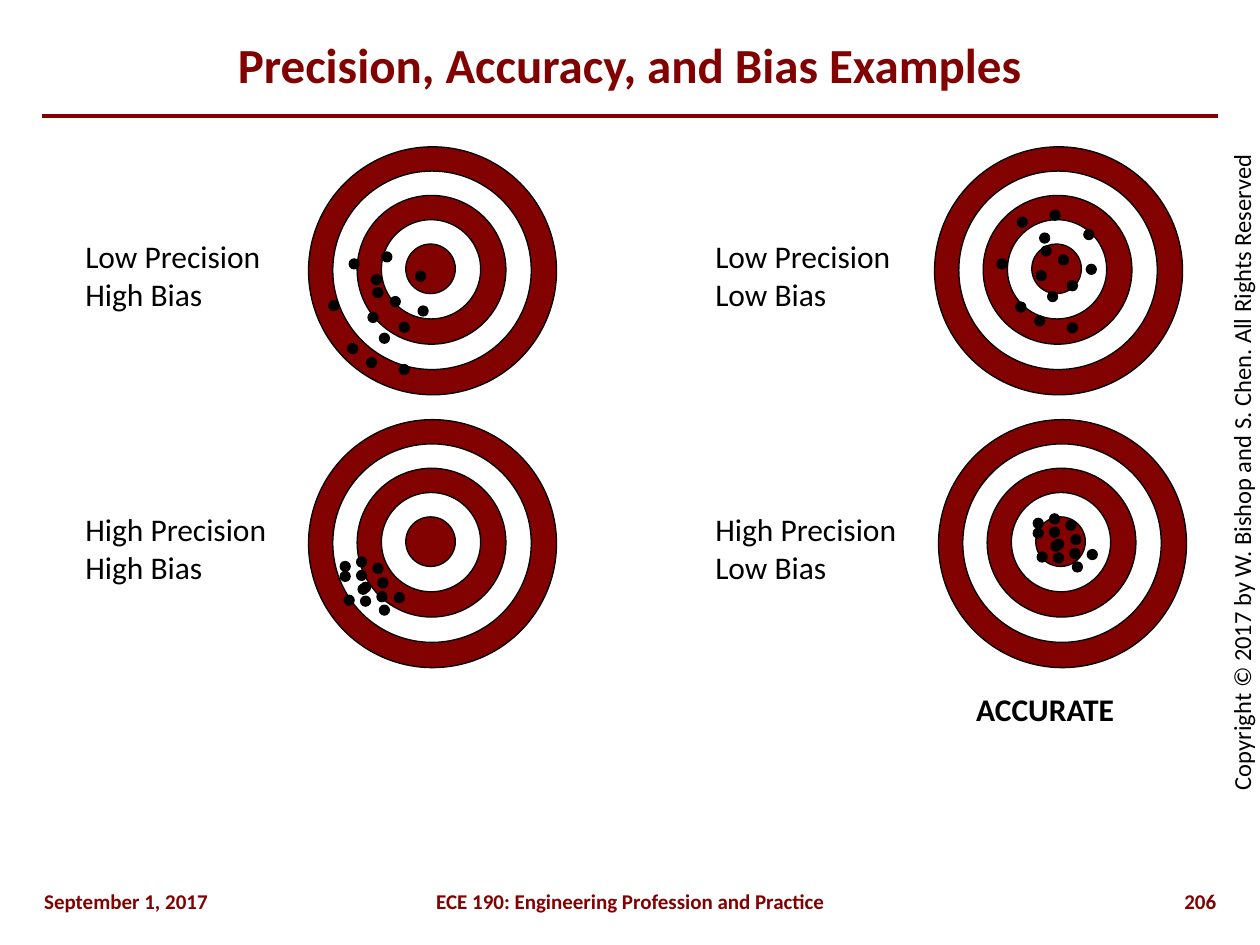
"""Build the slide comparing precision, accuracy and bias on four shooting targets."""
from dataclasses import dataclass

from lxml import etree
from pptx import Presentation
from pptx.dml.color import RGBColor
from pptx.enum.shapes import MSO_CONNECTOR, MSO_SHAPE
from pptx.enum.text import MSO_ANCHOR, MSO_AUTO_SIZE, PP_ALIGN
from pptx.oxml.ns import qn
from pptx.slide import Slide
from pptx.util import Cm, Pt

LINE, OVAL = MSO_CONNECTOR.STRAIGHT, MSO_SHAPE.OVAL
LEFT, CENTER, RIGHT = PP_ALIGN.LEFT, PP_ALIGN.CENTER, PP_ALIGN.RIGHT
TOP, MIDDLE = MSO_ANCHOR.TOP, MSO_ANCHOR.MIDDLE
NO_FIT = MSO_AUTO_SIZE.NONE

MAROON = RGBColor(0x82, 0x01, 0x01)
BLACK = RGBColor(0x00, 0x00, 0x00)
WHITE = RGBColor(0xFF, 0xFF, 0xFF)
FONT = "Calibri"

RING_COLORS = (MAROON, WHITE, MAROON, WHITE, MAROON)
TARGET_SIZE = 5
RING_STEP = 0.49
HIT_SIZE = 0.2

SCATTERED = (
    (1.07, 0), (0.89, 0.72), (1.75, 0.39), (1.24, 0.9), (0.86, 0.46),
    (0, 0.98), (0.41, 0.14), (0.76, 2.13), (1.02, 1.64), (1.42, 1.42),
    (1.42, 2.27), (0.79, 1.22), (0.38, 1.85), (1.8, 1.09),
)
CLUSTERED = (
    (0.33, 0), (0.33, 0.27), (0.66, 0.13), (0.36, 0.55), (0, 0.29),
    (0, 0.09), (0.76, 0.42), (0.74, 0.7), (1.09, 0.72), (0.79, 0.97),
    (0.41, 0.51), (0.08, 0.77), (0.41, 0.79),
)


@dataclass(frozen=True)
class Caption:
    """Text with its place in centimetres and its style."""

    lines: tuple[str, ...]
    left: float
    top: float
    width: float
    height: float
    size: int = 18
    color: RGBColor = BLACK
    bold: bool = False
    align: PP_ALIGN = LEFT
    anchor: MSO_ANCHOR = TOP
    wrap: bool = True
    rotation: int = 0


@dataclass(frozen=True)
class Target:
    """A target with its label and the corner of its group of hits."""

    lines: tuple[str, str]
    label_left: float
    label_top: float
    left: float
    top: float
    hits: tuple[tuple[float, float], ...]
    hits_left: float
    hits_top: float


TARGETS = (
    Target(("High Precision", "High Bias"), 1.47, 10.16, 6.22, 8.46, CLUSTERED, 6.86, 11.23),
    Target(("Low Precision", "High Bias"), 1.47, 4.65, 6.22, 2.96, SCATTERED, 6.63, 5.08),
    Target(("High Precision", "Low Bias"), 14.17, 10.16, 18.92, 8.46, CLUSTERED, 20.83, 10.36),
    Target(("Low Precision", "Low Bias"), 14.17, 4.65, 18.84, 2.96, SCATTERED, 20.1, 4.24),
)

CAPTIONS = (
    Caption(("Copyright © 2017 by W. Bishop and S. Chen. All Rights Reserved",),
            15.93, 9.09, 18.21, 0.86, size=14, align=CENTER, rotation=270),
    Caption(("Precision, Accuracy, and Bias Examples",), 0.84, 0.43, 23.7, 1.7,
            size=28, color=MAROON, bold=True, align=CENTER, anchor=MIDDLE),
    Caption(("ACCURATE",), 19.43, 13.79, 3.3, 1.02, bold=True, wrap=False),
    Caption(("September 1, 2017",), 0.64, 17.78, 4.45, 0.64, size=12, color=MAROON, bold=True),
    Caption(("ECE 190: Engineering Profession and Practice",), 4.24, 17.78, 16.94, 0.64,
            size=12, color=MAROON, bold=True, align=CENTER),
    Caption(("206",), 21.59, 17.78, 3.18, 0.64, size=12, color=MAROON, bold=True, align=RIGHT),
)


def add_caption(page: Slide, caption: Caption) -> None:
    """Add a text box with one paragraph per line."""
    box = page.shapes.add_textbox(
        Cm(caption.left), Cm(caption.top), Cm(caption.width), Cm(caption.height))
    box.rotation = caption.rotation
    frame = box.text_frame
    frame.word_wrap = caption.wrap
    frame.auto_size = NO_FIT
    frame.vertical_anchor = caption.anchor
    for index, line in enumerate(caption.lines):
        para = frame.add_paragraph() if index else frame.paragraphs[0]
        para.alignment = caption.align
        span = para.add_run()
        span.text = line
        span.font.name = FONT
        span.font.size = Pt(caption.size)
        span.font.bold = caption.bold
        span.font.color.rgb = caption.color


def add_disc(page: Slide, left: float, top: float, size: float, color: RGBColor) -> None:
    """Add a filled circle with a thin black outline."""
    disc = page.shapes.add_shape(OVAL, Cm(left), Cm(top), Cm(size), Cm(size))
    disc.shadow.inherit = False
    disc.fill.solid()
    disc.fill.fore_color.rgb = color
    disc.line.color.rgb = BLACK
    disc.line.width = Pt(0.75)


def add_target(page: Slide, target: Target) -> None:
    """Add the rings, the hits and the label of one target."""
    for ring, color in enumerate(RING_COLORS):
        inset = ring * RING_STEP
        add_disc(page, target.left + inset, target.top + inset, TARGET_SIZE - ring, color)
    for across, down in target.hits:
        add_disc(page, target.hits_left + across, target.hits_top + down, HIT_SIZE, BLACK)
    add_caption(page, Caption(
        target.lines, target.label_left, target.label_top, 4.2, 1.8, wrap=False))


def add_title_rule(page: Slide) -> None:
    """Add the rule below the title."""
    rule = page.shapes.add_connector(LINE, Cm(0.84), Cm(2.33), Cm(24.56), Cm(2.33))
    rule.line.color.rgb = MAROON
    rule.line.width = Pt(2.25)
    etree.SubElement(rule._element.spPr, qn("a:effectLst"))


def main() -> None:
    """Build and save the deck."""
    deck = Presentation()
    deck.slide_width, deck.slide_height = Cm(25.4), Cm(19.05)
    page = deck.slides.add_slide(deck.slide_layouts[6])
    add_title_rule(page)
    for target in TARGETS:
        add_target(page, target)
    for caption in CAPTIONS:
        add_caption(page, caption)
    deck.save("out.pptx")


if __name__ == "__main__":
    main()
